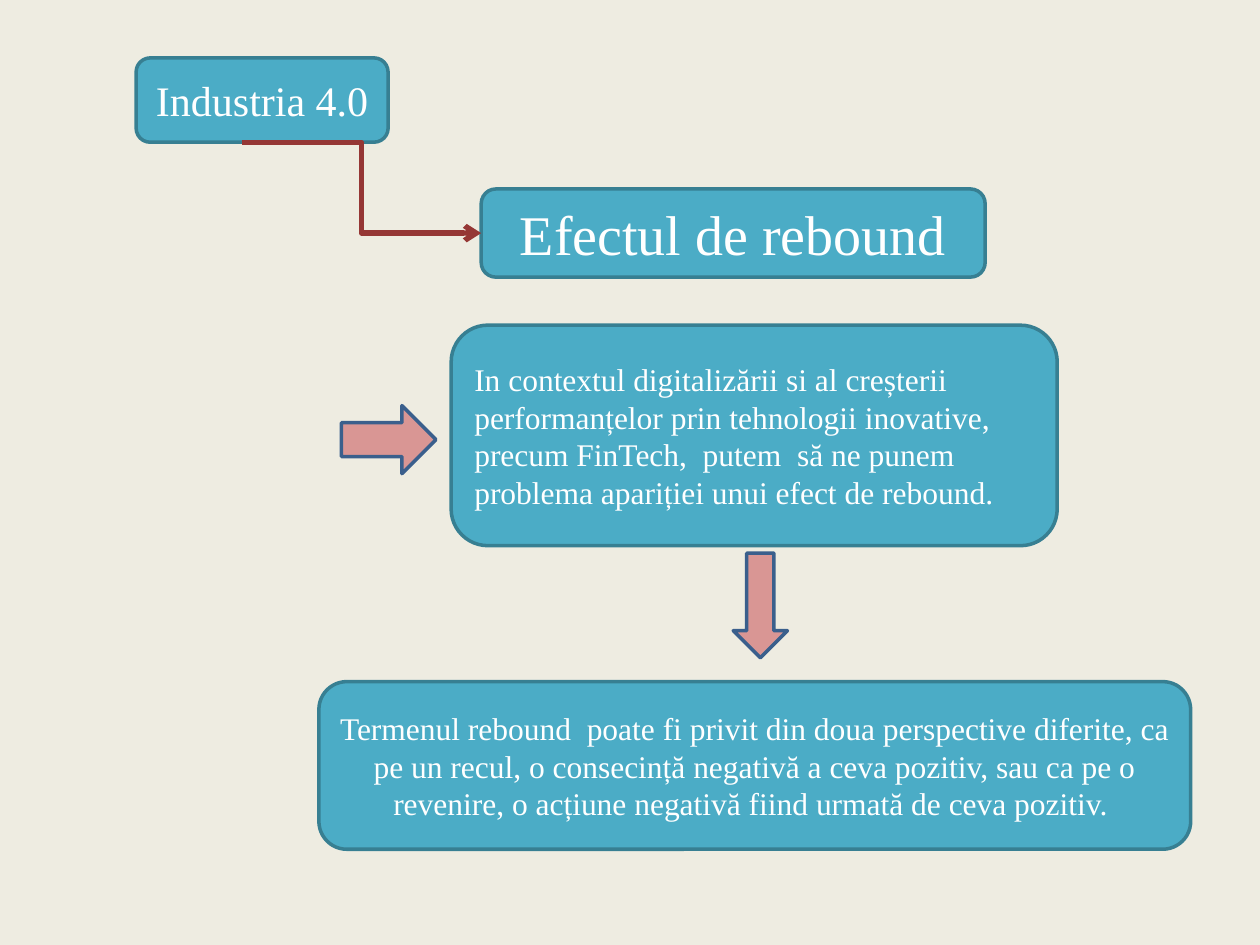
from lxml import etree
from pptx import Presentation
from pptx.dml.color import RGBColor
from pptx.enum import shapes as kinds, text as txt
from pptx.oxml import ns
from pptx.util import Pt

CREAM = RGBColor(0xEE, 0xEC, 0xE1)
TEAL = RGBColor(0x4B, 0xAC, 0xC6)
DARK_TEAL = RGBColor(0x37, 0x7F, 0x92)
ROSE = RGBColor(0xD9, 0x96, 0x94)
NAVY = RGBColor(0x3A, 0x5F, 0x8C)
MAROON = RGBColor(0x95, 0x37, 0x35)
WHITE = RGBColor(0xFF, 0xFF, 0xFF)
FONT = "Times New Roman"

KIND = kinds.MSO_SHAPE
CENTER, LEFT = txt.PP_ALIGN.CENTER, txt.PP_ALIGN.LEFT

INDUSTRY = ("Industria 4.0", (77.8, 33.1, 144, 48.2), 24, CENTER)
REBOUND = ("Efectul de rebound", (275, 108, 288, 50.4), 32, CENTER)
CONTEXT = (
    "In contextul digitalizării si al creșterii performanțelor prin tehnologii "
    "inovative, precum FinTech,  putem  să ne punem problema apariției unui "
    "efect de rebound.",
    (257.8, 185.8, 346.3, 126), 18, LEFT)
MEANING = (
    "Termenul rebound  poate fi privit din doua perspective diferite, ca pe un "
    "recul, o consecință negativă a ceva pozitiv, sau ca pe o revenire, o "
    "acțiune negativă fiind urmată de ceva pozitiv. ",
    (182.2, 389.5, 498.2, 95.8), 18, CENTER)
TO_CONTEXT = (KIND.RIGHT_ARROW, (195.1, 231.8, 54, 38.9))
TO_MEANING = (KIND.DOWN_ARROW, (419, 316.1, 31, 59.8))
LINK_START_X = 138.2


def add_outlined(slide, kind, place, fill, line):
    shape = slide.shapes.add_shape(kind, *map(Pt, place))
    shape.shadow.inherit = False
    shape.fill.solid()
    shape.fill.fore_color.rgb = fill
    shape.line.color.rgb = line
    shape.line.width = Pt(2)
    return shape


def add_box(slide, words, place, size, align):
    frame = add_outlined(slide, KIND.ROUNDED_RECTANGLE, place, TEAL, DARK_TEAL).text_frame
    frame.text = words
    frame.word_wrap = True
    frame.vertical_anchor = txt.MSO_ANCHOR.MIDDLE
    paragraph = frame.paragraphs[0]
    paragraph.alignment = align
    font = paragraph.runs[0].font
    font.name, font.size, font.color.rgb = FONT, Pt(size), WHITE


def add_link(slide, upper, lower):
    start_y = upper[1] + upper[3]
    end_x, end_y = lower[0], lower[1] + lower[3] / 2
    link = slide.shapes.add_connector(
        kinds.MSO_CONNECTOR.ELBOW, *map(Pt, (LINK_START_X, start_y, end_x, end_y)))
    link.line.color.rgb = MAROON
    link.line.width = Pt(3)
    etree.SubElement(link.line._get_or_add_ln(), ns.qn("a:tailEnd"), type="arrow")
    etree.SubElement(link._element.spPr, ns.qn("a:effectLst"))


def main():
    deck = Presentation()
    deck.slide_width, deck.slide_height = Pt(720), Pt(540)
    slide = deck.slides.add_slide(deck.slide_layouts[6])
    slide.background.fill.solid()
    slide.background.fill.fore_color.rgb = CREAM

    add_box(slide, *INDUSTRY)
    add_box(slide, *REBOUND)
    add_link(slide, INDUSTRY[1], REBOUND[1])
    add_box(slide, *CONTEXT)
    add_outlined(slide, *TO_CONTEXT, ROSE, NAVY)
    add_box(slide, *MEANING)
    add_outlined(slide, *TO_MEANING, ROSE, NAVY)
    deck.save("out.pptx")


if __name__ == "__main__":
    main()
